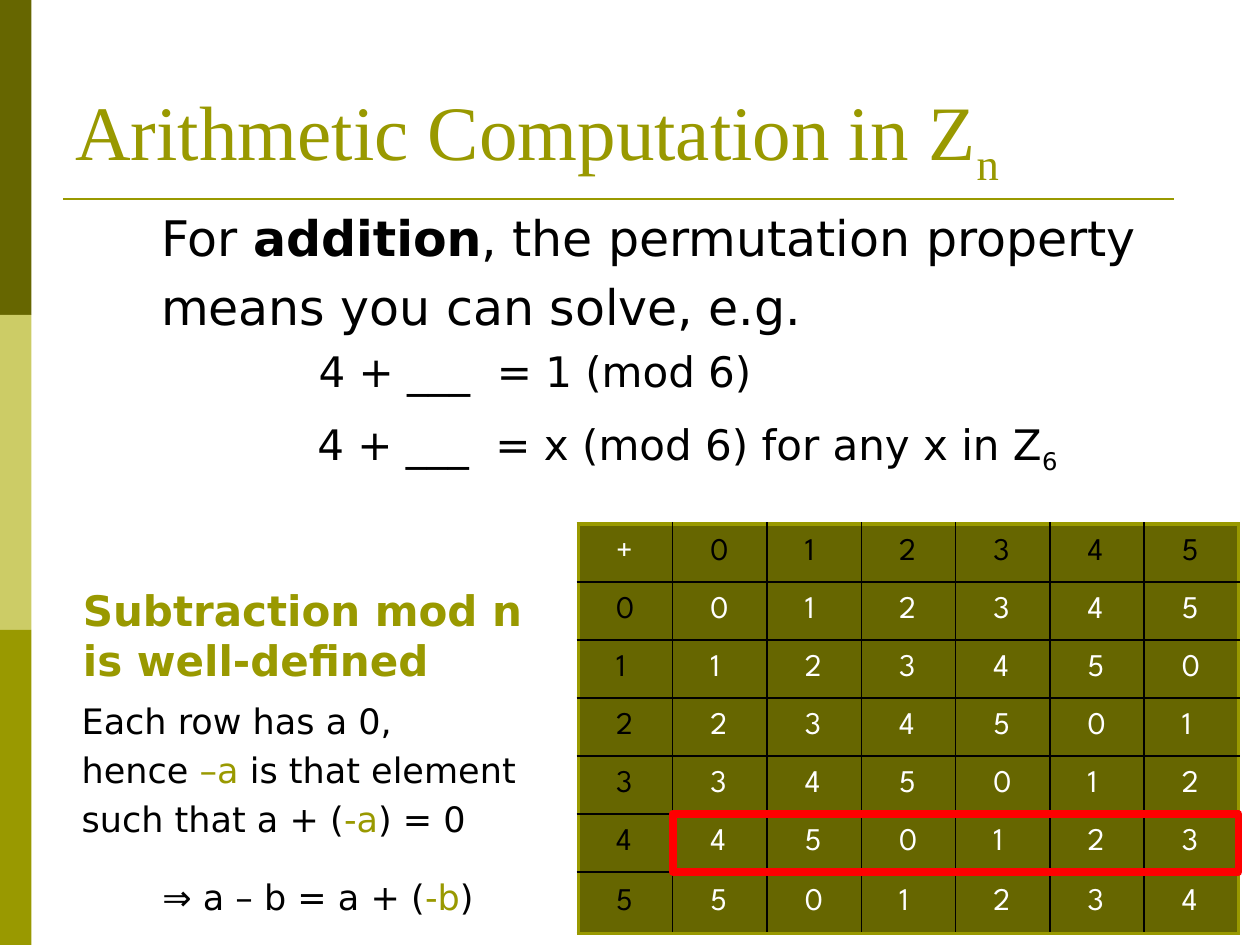
from collections import namedtuple

from lxml import etree
from pptx import Presentation
from pptx import util as u
from pptx.dml.color import RGBColor
from pptx.enum import shapes, text
from pptx.oxml import ns

# The page is a grid of 40 columns by 30 rows; every box is given in these units
COLUMNS, ROWS = 40, 30
UNIT = u.Inches(10 / COLUMNS)
Box = namedtuple("Box", "left top width height")

DARK, PALE, OLIVE = "666600", "CCCC66", "999900"
BLACK, WHITE, RED = "000000", "FFFFFF", "FF0000"
SANS, SERIF, GRID_FONT = "DejaVu Sans", "Times New Roman", "League Spartan"
MODULUS = 6


def color(value):
    return RGBColor.from_string(value)


def units(*values):
    return [u.Emu(round(value * UNIT)) for value in values]


def add_run(para, words, size, font, ink=BLACK, bold=False, subscript=False):
    run = para.add_run()
    run.text = words
    run.font.size = u.Pt(size)
    run.font.name = font
    run.font.bold = bold
    run.font.color.rgb = color(ink)
    if subscript:
        run.font._element.set("baseline", "-25000")


def add_text(page, box, paragraphs, size, font=SANS, wrap=False):
    """Each paragraph is a list of runs: (words, options)."""
    frame = page.shapes.add_textbox(*units(*box)).text_frame
    frame.word_wrap = wrap
    frame.auto_size = text.MSO_AUTO_SIZE.SHAPE_TO_FIT_TEXT
    for index, runs in enumerate(paragraphs):
        para = frame.add_paragraph() if index else frame.paragraphs[0]
        para.space_before = u.Pt(size * 0.2)
        for words, options in runs:
            add_run(para, words, size, font, **options)
    return frame


def add_rectangle(page, box, fill=None, line=None, weight=1):
    shape = page.shapes.add_shape(shapes.MSO_SHAPE.RECTANGLE, *units(*box))
    shape.shadow.inherit = False
    if fill:
        shape.fill.solid()
        shape.fill.fore_color.rgb = color(fill)
    else:
        shape.fill.background()
    if line:
        shape.line.color.rgb = color(line)
        shape.line.width = u.Pt(weight)
    else:
        shape.line.fill.background()


def add_sidebar(page, box):
    band = box.height / 3
    for index, fill in enumerate((DARK, PALE, OLIVE)):
        add_rectangle(page, Box(box.left, box.top + index * band, box.width, band), fill)


def add_title(page, box):
    frame = add_text(page, box, [[("Arithmetic Computation in Z", {"ink": OLIVE}),
                                  ("n", {"ink": OLIVE, "subscript": True})]],
                     44, SERIF, wrap=True)
    frame.auto_size = text.MSO_AUTO_SIZE.NONE
    frame.vertical_anchor = text.MSO_ANCHOR.BOTTOM
    frame.paragraphs[0].space_before = u.Pt(0)
    # Rule under the title
    rule_y = box.top + box.height + 0.12
    rule = page.shapes.add_connector(
        shapes.MSO_CONNECTOR.STRAIGHT,
        *units(box.left, rule_y, box.left + box.width * 0.98, rule_y))
    rule.line.color.rgb = color(OLIVE)
    rule.line.width = u.Pt(1.5)
    etree.SubElement(rule._element.spPr, ns.qn("a:effectLst"))


def add_statement(page, box):
    add_text(page, Box(box.left, box.top, box.width, 4.56), [
        [("For ", {}), ("addition", {"bold": True}), (", the permutation property", {})],
        [("means you can solve, e.g.", {})],
    ], 28)
    # Worked equations, indented by five columns
    left = box.left + 5
    add_text(page, Box(left, box.top + 4.36, 15.68, 2),
             [[("4 + ___  = 1 (mod 6)", {})]], 24)
    add_text(page, Box(left - 0.04, box.top + 6.68, 25.84, 2),
             [[("4 + ___  = x (mod 6) for any x in Z", {}), ("6", {"subscript": True})]], 24)


def add_subtraction(page, box):
    olive = {"ink": OLIVE}
    add_text(page, Box(box.left, box.top, box.width, 3.64),
             [[("Subtraction mod n is well-defined", {"ink": OLIVE, "bold": True})]],
             24, wrap=True)
    add_text(page, Box(box.left - 0.04, box.top + 3.64, 14.8, 5), [
        [("Each row has a 0,", {})],
        [("hence ", {}), ("–a", olive), (" is that element", {})],
        [("such that a + (", {}), ("-a", olive), (") = 0", {})],
    ], 20)
    add_text(page, Box(box.left + 2.52, box.top + 9.24, 11.52, 1.76),
             [[("⇒ a – b = a + (", {}), ("-b", olive), (")", {})]], 20)


def set_borders(cell, row, column):
    """Thick olive on the table's outside, thin black inside."""
    outside = {"L": column == 0, "R": column == MODULUS,
               "T": row == 0, "B": row == MODULUS}
    properties = cell._tc.get_or_add_tcPr()
    for index, (side, outer) in enumerate(outside.items()):
        border = etree.Element(ns.qn(f"a:ln{side}"), w=str(u.Pt(2.25 if outer else 1)))
        fill = etree.SubElement(border, ns.qn("a:solidFill"))
        etree.SubElement(fill, ns.qn("a:srgbClr"), val=OLIVE if outer else BLACK)
        properties.insert(index, border)


def add_addition_table(page, box):
    count = MODULUS + 1
    column_width, row_height = box.width / count, 1.84
    table = page.shapes.add_table(count, count, *units(*box)).table
    table.first_row = table.horz_banding = False
    for column in table.columns:
        column.width, = units(column_width)
    for row in table.rows:
        row.height, = units(row_height)
    table.rows[MODULUS].height, = units(box.height - MODULUS * row_height)

    for row in range(count):
        for column in range(count):
            # Headings list 0 to 5; the body holds their sums mod 6
            heading = row == 0 or column == 0
            corner = row == column == 0
            total = row + column - 1 if heading else (row + column - 2) % MODULUS
            cell = table.cell(row, column)
            cell.fill.solid()
            cell.fill.fore_color.rgb = color(DARK)
            cell.margin_left = cell.margin_right = u.Inches(0.3)
            cell.vertical_anchor = text.MSO_ANCHOR.MIDDLE
            para = cell.text_frame.paragraphs[0]
            para.space_before = u.Pt(3.6)
            add_run(para, "+" if corner else str(total), 18, GRID_FONT,
                    BLACK if heading and not corner else WHITE)
            set_borders(cell, row, column)

    # Frame around the sums in the row of 4
    add_rectangle(page, Box(box.left + column_width, box.top + 5 * row_height,
                            box.width - column_width, row_height), line=RED, weight=4.5)


def main():
    deck = Presentation()
    deck.slide_width, deck.slide_height = units(COLUMNS, ROWS)
    page = deck.slides.add_slide(deck.slide_layouts[6])
    add_sidebar(page, Box(0, 0, 1, ROWS))
    add_title(page, Box(2, 2.68, 36, 3.52))
    add_statement(page, Box(4.72, 6.4, 32.28, 8.68))
    add_addition_table(page, Box(18.36, 16.64, 20.96, 13))
    add_subtraction(page, Box(2.24, 18.36, 15.48, 11))
    deck.save("out.pptx")


if __name__ == "__main__":
    main()
